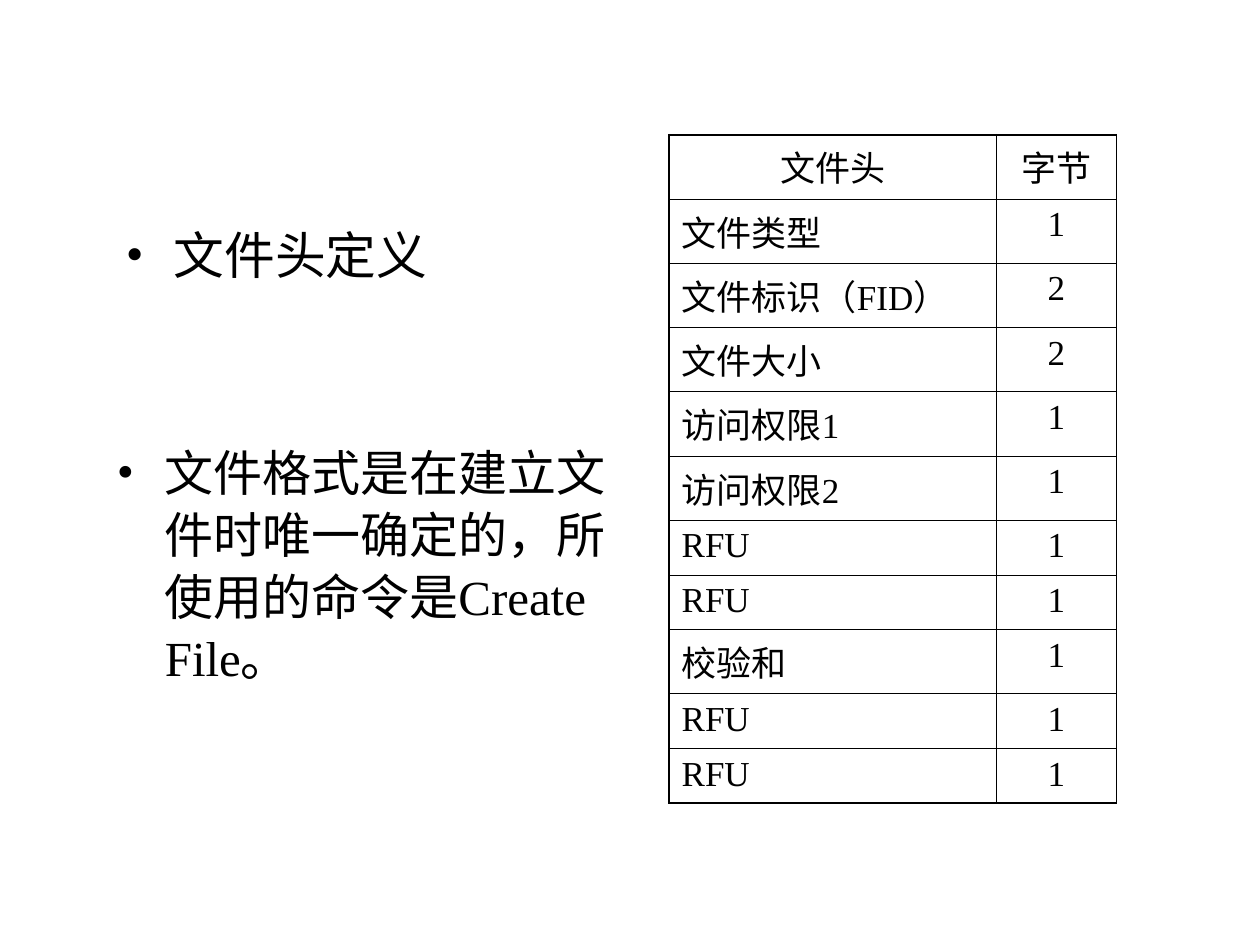
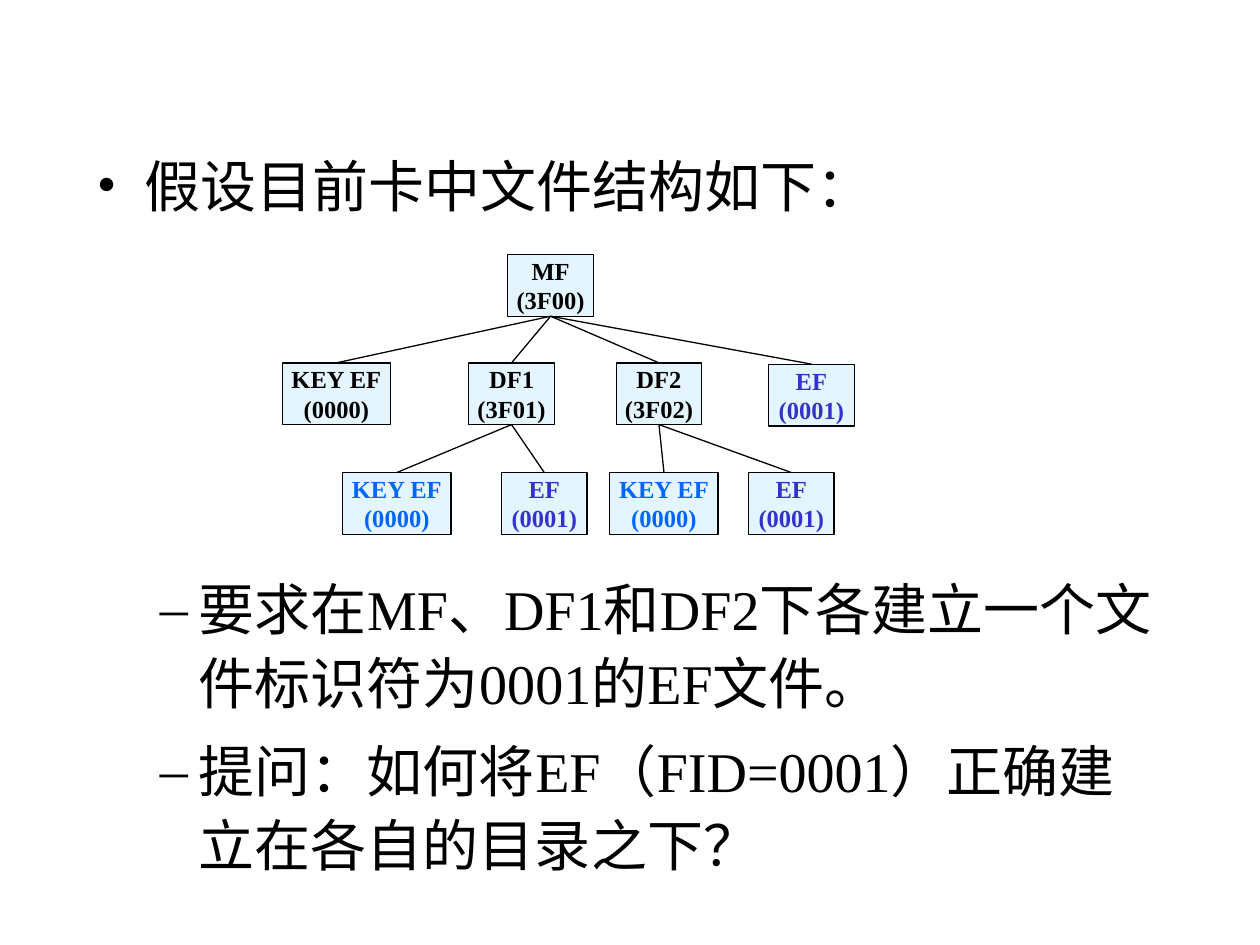
from dataclasses import dataclass

from lxml import etree
from pptx import Presentation
from pptx.dml.color import RGBColor
from pptx.enum.shapes import MSO_CONNECTOR, MSO_SHAPE
from pptx.enum.text import MSO_ANCHOR, PP_ALIGN
from pptx.oxml.ns import qn
from pptx.util import Inches, Pt

LEFT, CENTER = PP_ALIGN.LEFT, PP_ALIGN.CENTER
MIDDLE = MSO_ANCHOR.MIDDLE
RECTANGLE = MSO_SHAPE.RECTANGLE
STRAIGHT = MSO_CONNECTOR.STRAIGHT
TOP_SIDE, BOTTOM_SIDE = 0, 2


@dataclass(frozen=True)
class Theme:
    font: str = "Times New Roman"
    ink: str = "000000"
    key_file: str = "0066FF"
    new_file: str = "3333CC"
    box_fill: str = "CCECFF"
    box_opacity: int = 52
    body_size: int = 32
    heading_size: int = 29
    note_size: int = 28
    table_size: int = 20
    box_size: int = 14
    tree_line: float = 0.75
    inner_border: float = 0.45
    outer_border: float = 1.08


THEME = Theme()

HEADER_ROWS = [
    ("文件头", "字节"),
    ("文件类型", "1"),
    ("文件标识（FID）", "2"),
    ("文件大小", "2"),
    ("访问权限1", "1"),
    ("访问权限2", "1"),
    ("RFU", "1"),
    ("RFU", "1"),
    ("校验和", "1"),
    ("RFU", "1"),
    ("RFU", "1"),
]

FILE_TREE = [
    ("MF", "3F00", 4.03, 2.02, THEME.ink, None),
    ("KEY EF", "0000", 2.24, 2.88, THEME.ink, 0),
    ("DF1", "3F01", 3.72, 2.88, THEME.ink, 0),
    ("DF2", "3F02", 4.89, 2.88, THEME.ink, 0),
    ("EF", "0001", 6.1, 2.89, THEME.new_file, 0),
    ("KEY EF", "0000", 2.72, 3.75, THEME.key_file, 2),
    ("EF", "0001", 3.98, 3.75, THEME.new_file, 2),
    ("KEY EF", "0000", 4.84, 3.75, THEME.key_file, 3),
    ("EF", "0001", 5.94, 3.75, THEME.new_file, 3),
]


def add_run(paragraph, text, size, color=THEME.ink, bold=False):
    """Append a formatted run to a paragraph."""
    run = paragraph.add_run()
    run.text = text
    run.font.name = THEME.font
    run.font.size = Pt(size)
    run.font.bold = bold
    run.font.color.rgb = RGBColor.from_string(color)


def set_bullet(paragraph, character, margin, hanging):
    """Give a paragraph a bullet and a hanging indent."""
    properties = paragraph._p.get_or_add_pPr()
    properties.set("marL", str(Inches(margin)))
    properties.set("indent", str(-Inches(hanging)))
    color = etree.SubElement(properties, qn("a:buClr"))
    etree.SubElement(color, qn("a:srgbClr"), val=THEME.ink)
    etree.SubElement(properties, qn("a:buFont"), typeface=THEME.font)
    etree.SubElement(properties, qn("a:buChar"), char=character)


def add_bullets(slide, bounds, texts, size, spacing=1.0, level=0):
    """Add a text box with one bulleted paragraph per text."""
    frame = slide.shapes.add_textbox(*map(Inches, bounds)).text_frame
    frame.word_wrap = True
    bullet = [("•", 0.38, 0.38), ("–", 0.81, 0.31)][level]
    for index, text in enumerate(texts):
        paragraph = frame.add_paragraph() if index else frame.paragraphs[0]
        set_bullet(paragraph, *bullet)
        paragraph.level = level
        paragraph.line_spacing = spacing
        paragraph.space_before = Pt(8 if index else 0)
        add_run(paragraph, text, size)


def set_borders(cell, outer_sides):
    """Draw all four cell borders, heavier on the outer sides."""
    properties = cell._tc.get_or_add_tcPr()
    for side in "LRTB":
        width = THEME.outer_border if side in outer_sides else THEME.inner_border
        line = etree.SubElement(properties, qn(f"a:ln{side}"), w=str(Pt(width)))
        fill = etree.SubElement(line, qn("a:solidFill"))
        etree.SubElement(fill, qn("a:srgbClr"), val=THEME.ink)


def add_header_table(slide, left, top, rows, widths):
    """Add the file header table, with lower rows for RFU entries."""
    heights = [0.41 if row[0] == "RFU" else 0.51 for row in rows]
    bounds = (left, top, sum(widths), sum(heights))
    table = slide.shapes.add_table(len(rows), len(widths), *map(Inches, bounds)).table
    table.first_row = table.horz_banding = False
    for column, width in zip(table.columns, widths):
        column.width = Inches(width)
    for r, (values, height) in enumerate(zip(rows, heights)):
        table.rows[r].height = Inches(height)
        for c, value in enumerate(values):
            cell = table.cell(r, c)
            outer_sides = "R" if c else "L"
            if r == 0:
                outer_sides += "T"
            if r == len(rows) - 1:
                outer_sides += "B"
            set_borders(cell, outer_sides)
            cell.fill.background()
            paragraph = cell.text_frame.paragraphs[0]
            paragraph.alignment = CENTER if r == 0 or c == 1 else LEFT
            add_run(paragraph, value, THEME.table_size)


def add_file_box(slide, name, identifier, left, top, color):
    """Add a translucent box naming a card file."""
    width = 0.86 if name == "KEY EF" else 0.68
    box = slide.shapes.add_shape(RECTANGLE, *map(Inches, (left, top, width, 0.49)))
    box.shadow.inherit = False
    box.fill.solid()
    box.fill.fore_color.rgb = RGBColor.from_string(THEME.box_fill)
    fill_color = box.element.spPr.find(f"{qn('a:solidFill')}/{qn('a:srgbClr')}")
    etree.SubElement(fill_color, qn("a:alpha"), val=str(THEME.box_opacity * 1000))
    box.line.color.rgb = RGBColor.from_string(THEME.ink)
    box.line.width = Pt(THEME.tree_line)
    frame = box.text_frame
    frame.word_wrap = False
    frame.vertical_anchor = MIDDLE
    for index, text in enumerate((name, f"({identifier})")):
        paragraph = frame.add_paragraph() if index else frame.paragraphs[0]
        paragraph.alignment = CENTER
        add_run(paragraph, text, THEME.box_size, color, bold=True)
    return box


def connect_boxes(slide, parent, child):
    """Join the bottom of a parent box to the top of its child."""
    connector = slide.shapes.add_connector(STRAIGHT, 0, 0, 0, 0)
    connector.begin_connect(parent, BOTTOM_SIDE)
    connector.end_connect(child, TOP_SIDE)
    connector.line.color.rgb = RGBColor.from_string(THEME.ink)
    connector.line.width = Pt(THEME.tree_line)
    etree.SubElement(connector.element.spPr, qn("a:effectLst"))


def add_file_tree(slide, files):
    """Add the card's file boxes and the lines between them."""
    boxes = []
    for name, identifier, left, top, color, parent in files:
        boxes.append(add_file_box(slide, name, identifier, left, top, color))
        if parent is not None:
            connect_boxes(slide, boxes[parent], boxes[-1])


def build_header_slide(slide):
    """Build the slide that defines the file header."""
    add_bullets(slide, (0.9, 1.78, 2.76, 0.56), ["文件头定义"],
                THEME.heading_size, spacing=0.9)
    add_bullets(slide, (0.83, 3.44, 4.25, 2.68),
                ["文件格式是在建立文件时唯一确定的，所使用的命令是Create File。"],
                THEME.note_size, spacing=1.05)
    add_header_table(slide, 5.31, 1.07, HEADER_ROWS, (2.6, 0.95))


def build_structure_slide(slide):
    """Build the slide that shows the card's file structure."""
    add_bullets(slide, (0.67, 1.15, 8.35, 0.79), ["假设目前卡中文件结构如下："],
                THEME.body_size)
    add_file_tree(slide, FILE_TREE)
    add_bullets(slide, (0.67, 4.46, 8.58, 2.76),
                ["要求在MF、DF1和DF2下各建立一个文件标识符为0001的EF文件。",
                 "提问：如何将EF（FID=0001）正确建立在各自的目录之下？"],
                THEME.body_size, spacing=1.1, level=1)


def main():
    """Build and save the presentation."""
    presentation = Presentation()
    presentation.slide_width = Inches(10)
    presentation.slide_height = Inches(7.5)
    blank_layout = presentation.slide_layouts[6]
    for build_slide in (build_header_slide, build_structure_slide):
        build_slide(presentation.slides.add_slide(blank_layout))
    presentation.save("out.pptx")


if __name__ == "__main__":
    main()
